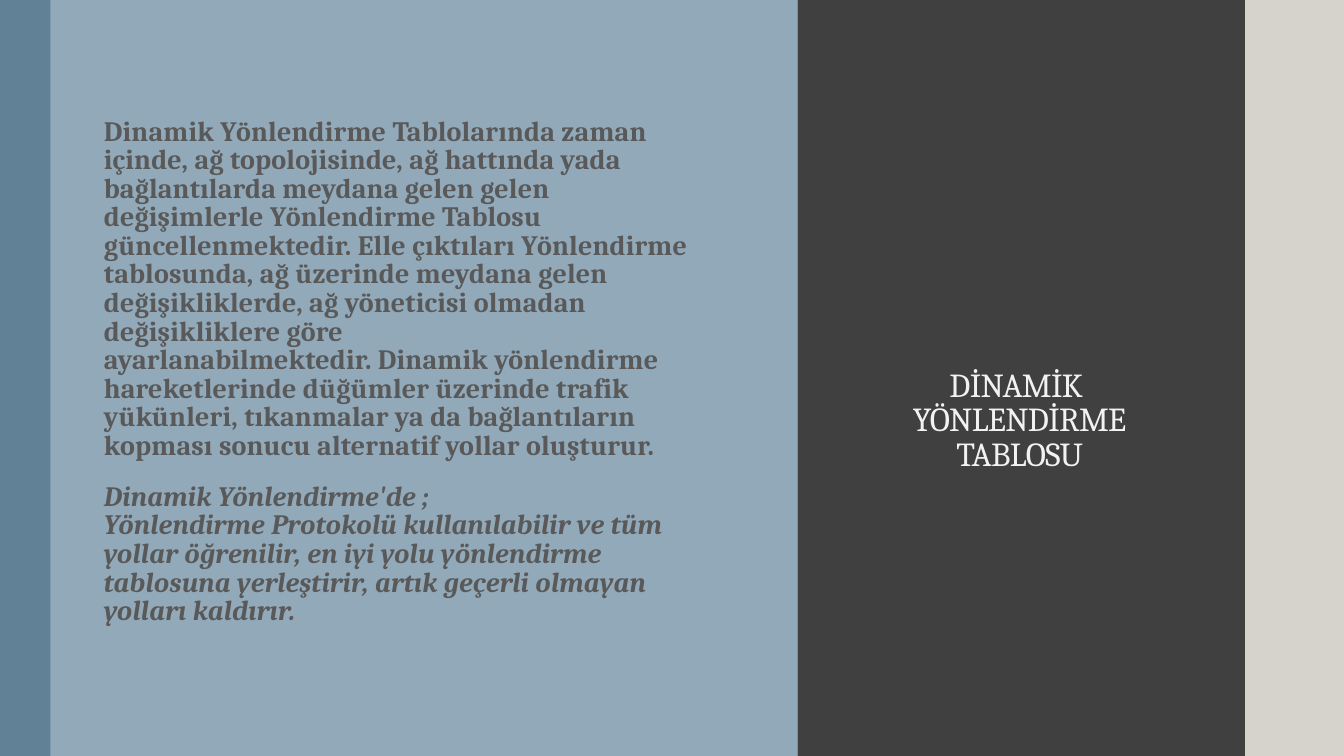
from pptx import Presentation
from pptx.dml.color import RGBColor
from pptx.enum.shapes import MSO_SHAPE
from pptx.enum.text import MSO_ANCHOR, PP_ALIGN
from pptx.util import Cm, Pt

COLORS = {
    "background": "DCD7CC",
    "panel": "92A9B9",
    "edge": "618197",
    "title_band": "404040",
    "side_band": "D6D3CC",
    "body": "595959",
    "title": "F2F2F2",
}
SLIDE_WIDTH, SLIDE_HEIGHT = 33.87, 19.05
HARD_SPACE = chr(160)

presentation = Presentation()
presentation.slide_width = Cm(SLIDE_WIDTH)
presentation.slide_height = Cm(SLIDE_HEIGHT)
slide = presentation.slides.add_slide(presentation.slide_layouts[6])
slide.background.fill.solid()
slide.background.fill.fore_color.rgb = RGBColor.from_string(COLORS["background"])


def write(paragraph, text, *, size, color, spacing, bold=False, italic=False,
          align=PP_ALIGN.LEFT, before=0, after=0):
    paragraph.text = text
    paragraph.alignment = align
    paragraph.line_spacing = 0.85
    paragraph.space_before = Pt(before)
    paragraph.space_after = Pt(after)
    paragraph.font.size = Pt(size)
    for run in paragraph.runs:
        run.font.name = "Cambria"
        run.font.size = Pt(size)
        run.font.bold = bold
        run.font.italic = italic
        run.font.color.rgb = RGBColor.from_string(COLORS[color])
        run._r.get_or_add_rPr().set("spc", str(round(spacing * 100)))


def add_frame(left, top, width, height):
    frame = slide.shapes.add_textbox(Cm(left), Cm(top), Cm(width), Cm(height)).text_frame
    frame.word_wrap = True
    frame.vertical_anchor = MSO_ANCHOR.MIDDLE
    return frame


for color, left, right in [
    ("panel", 0, 20.1),
    ("edge", 0, 1.27),
    ("title_band", 20.1, 31.38),
    ("side_band", 31.38, SLIDE_WIDTH),
]:
    band = slide.shapes.add_shape(
        MSO_SHAPE.RECTANGLE, Cm(left), 0, Cm(right - left), Cm(SLIDE_HEIGHT))
    band.shadow.inherit = False
    band.fill.solid()
    band.fill.fore_color.rgb = RGBColor.from_string(COLORS[color])
    band.line.fill.background()

explanation = add_frame(2.37, 1.8, 15.88, 15.95)
explanation.margin_bottom = Cm(0.91)
body_format = dict(size=20, color="body", spacing=0.1, bold=True, before=14, after=2)
write(
    explanation.paragraphs[0],
    f"Dinamik Yönlendirme Tablolarında{HARD_SPACE}zaman içinde, ağ topolojisinde, "
    "ağ hattında yada bağlantılarda meydana gelen gelen değişimlerle Yönlendirme Tablosu "
    f"güncellenmektedir.{HARD_SPACE}Elle çıktıları Yönlendirme tablosunda, ağ üzerinde "
    "meydana gelen değişikliklerde, ağ yöneticisi olmadan değişikliklere göre "
    f"ayarlanabilmektedir.{HARD_SPACE}Dinamik yönlendirme hareketlerinde düğümler üzerinde "
    "trafik yükünleri, tıkanmalar ya da bağlantıların kopması sonucu alternatif yollar "
    "oluşturur.",
    **body_format)
write(
    explanation.add_paragraph(),
    "Dinamik Yönlendirme'de ;\n"
    f"Yönlendirme Protokolü{HARD_SPACE}kullanılabilir ve tüm yollar öğrenilir, en iyi yolu "
    "yönlendirme tablosuna yerleştirir, artık geçerli olmayan yolları kaldırır.",
    italic=True, **body_format)

title = add_frame(21.72, 2.94, 7.95, 15.37)
write(title.paragraphs[0], f"DİNAMİK{HARD_SPACE}\nYÖNLENDİRME\nTABLOSU",
      size=24, color="title", spacing=-0.5, align=PP_ALIGN.CENTER)

presentation.save("out.pptx")
